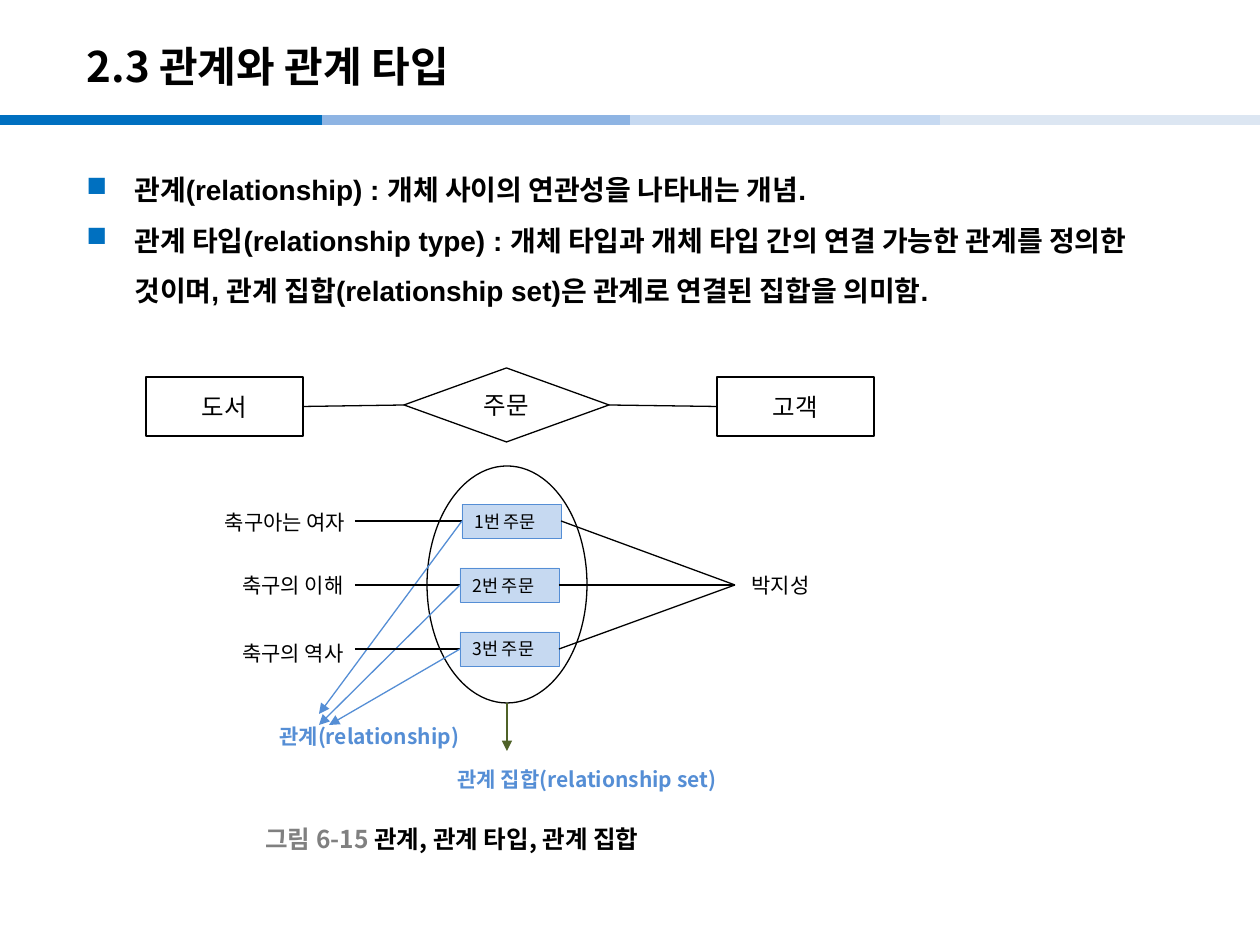
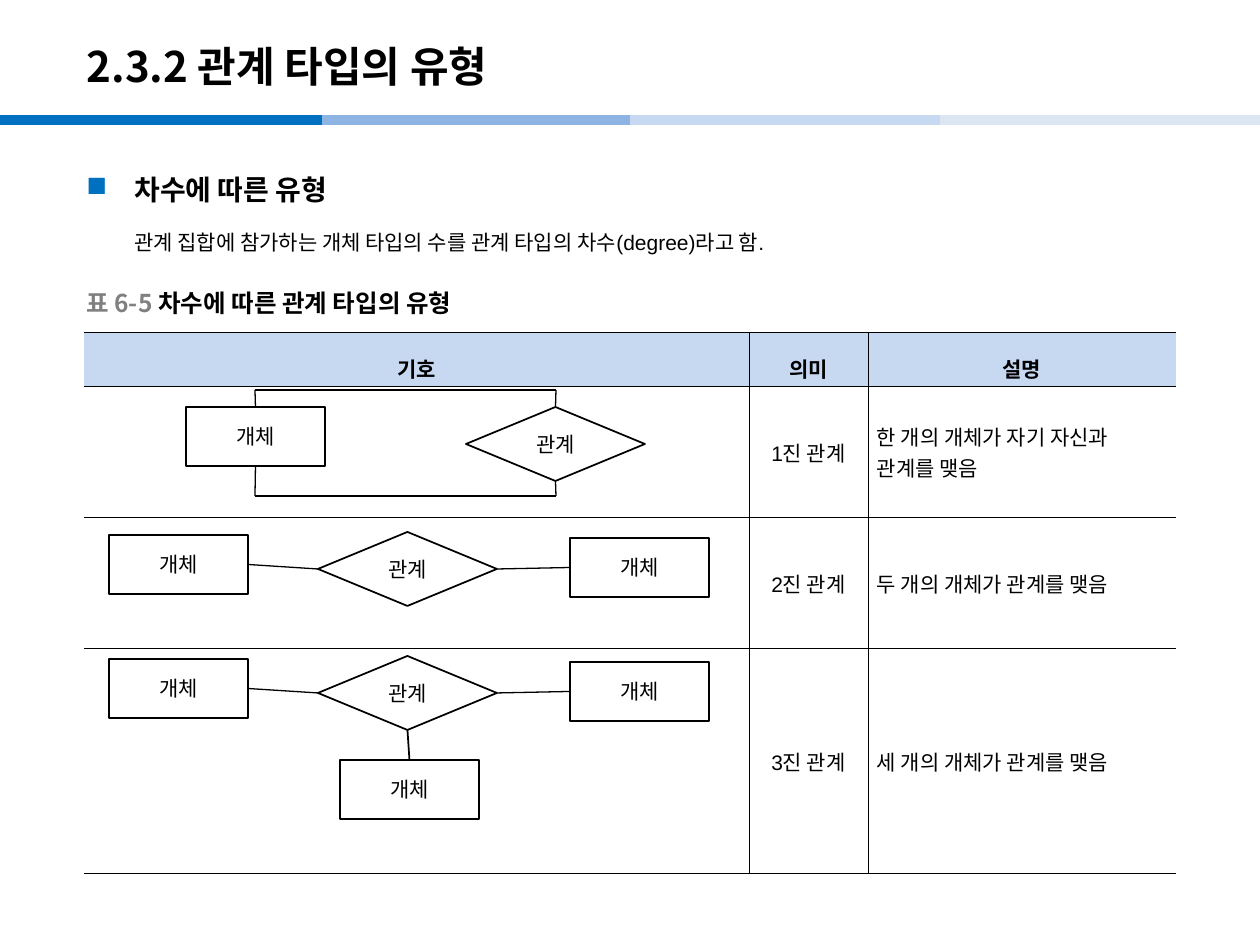
from dataclasses import dataclass

from lxml.etree import SubElement
from pptx import Presentation
from pptx.dml.color import RGBColor
from pptx.enum.shapes import MSO_CONNECTOR, MSO_SHAPE
from pptx.enum.text import MSO_ANCHOR, PP_ALIGN
from pptx.oxml.ns import qn
from pptx.util import Pt


@dataclass(frozen=True)
class Theme:
    black: str = "000000"
    white: str = "FFFFFF"
    gray: str = "808080"
    blue: str = "0070C0"
    mid: str = "558ED5"
    pale: str = "C6D9F1"
    green: str = "4F6228"
    bands: tuple = ("0070C0", "8EB4E3", "C6D9F1", "DCE6F2")
    latin: str = "Arial"
    korean: str = "Noto Sans CJK KR"
    title: int = 24
    body: int = 16
    label: int = 14
    small: int = 12
    tiny: int = 10


LOOK = Theme()
SCALE = 914400 / 126
TOP, LEFT, BOTTOM, RIGHT = range(4)


def px(count):
    return int(count * SCALE)


def tint(code):
    return RGBColor.from_string(code)


def write(frame, text, size=LOOK.small, color=LOOK.black, bold=False,
          font=LOOK.korean, align=PP_ALIGN.LEFT, gap=None, before=None,
          indent=0, bullet=None, join=False):
    para = frame.paragraphs[-1]
    if para.runs and not join:
        para = frame.add_paragraph()
    para.alignment = align
    if gap:
        para.line_spacing = gap
    if before:
        para.space_before = Pt(before)
    if indent:
        props = para._p.get_or_add_pPr()
        props.set("marL", str(px(indent)))
        props.set("indent", str(-px(indent) if bullet else 0))
        if bullet:
            hue = SubElement(props, qn("a:buClr"))
            SubElement(hue, qn("a:srgbClr"), val=LOOK.blue)
            SubElement(props, qn("a:buChar"), char=bullet)
        else:
            SubElement(props, qn("a:buNone"))
    run = para.add_run()
    run.text = text
    run.font.size = Pt(size)
    run.font.bold = bold
    run.font.color.rgb = tint(color)
    run.font.name = font
    SubElement(run._r.get_or_add_rPr(), qn("a:ea"), typeface=LOOK.korean)


def label(slide, at, text, anchor=MSO_ANCHOR.MIDDLE, **style):
    frame = slide.shapes.add_textbox(*map(px, at)).text_frame
    frame.word_wrap = True
    frame.vertical_anchor = anchor
    write(frame, text, **style)
    return frame


def shape(slide, kind, at, text=None, fill=LOOK.white, edge=LOOK.black,
          width=0.75, **style):
    item = slide.shapes.add_shape(kind, *map(px, at))
    item.shadow.inherit = False
    item.fill.solid()
    item.fill.fore_color.rgb = tint(fill)
    item.line.color.rgb = tint(edge)
    item.line.width = Pt(width)
    if text:
        frame = item.text_frame
        frame.vertical_anchor = MSO_ANCHOR.MIDDLE
        write(frame, text, **{"align": PP_ALIGN.CENTER, **style})
    return item


def link(slide, start, end, color=LOOK.black, width=0.75, arrow=False):
    ends = [pair if isinstance(pair[0], int) else (0, 0) for pair in (start, end)]
    line = slide.shapes.add_connector(
        MSO_CONNECTOR.STRAIGHT, *(px(n) for pair in ends for n in pair))
    for pair, hook in ((start, line.begin_connect), (end, line.end_connect)):
        if not isinstance(pair[0], int):
            hook(*pair)
    line.line.color.rgb = tint(color)
    line.line.width = Pt(width)
    props = line._element.spPr
    if arrow:
        SubElement(props.find(qn("a:ln")), qn("a:tailEnd"), type="triangle")
    SubElement(props, qn("a:effectLst"))


def start(deck, text):
    slide = deck.slides.add_slide(deck.slide_layouts[5])
    stops = ((0, 322), (322, 645), (630, 952), (940, 1260))
    for (left, right), color in zip(stops, LOOK.bands):
        link(slide, (left, 120), (right, 120), color, 6)
    title = slide.shapes.title
    title.left, title.top, title.width, title.height = map(px, (74, 28, 1042, 76))
    title.text_frame.vertical_anchor = MSO_ANCHOR.MIDDLE
    write(title.text_frame, text, size=LOOK.title, bold=True)
    return slide


def points(slide, height, *texts):
    style = dict(size=LOOK.body, bold=True, font=LOOK.latin, gap=1.5,
                 indent=48, bullet="■")
    frame = label(slide, (74, 150, 1111, height), texts[0],
                  MSO_ANCHOR.TOP, **style)
    for text in texts[1:]:
        write(frame, text, **style)
    return frame


def caption(slide, at, mark, text):
    frame = label(slide, at, mark, size=LOOK.label, color=LOOK.gray, bold=True)
    write(frame, text, size=LOOK.label, bold=True, join=True)


def node(slide, left, top, text="개체"):
    return shape(slide, MSO_SHAPE.RECTANGLE, (left, top, 139, 59), text, width=1)


def bond(slide, left, top):
    return shape(slide, MSO_SHAPE.FLOWCHART_DECISION, (left, top, 179, 74),
                 "관계", width=1)


def pair(slide, top):
    first = node(slide, 109, top + 3)
    hub = bond(slide, 318, top)
    last = node(slide, 570, top + 6)
    link(slide, (first, RIGHT), (hub, LEFT))
    link(slide, (hub, RIGHT), (last, LEFT))
    return hub


def loop(slide):
    first, hub = node(slide, 186, 407), bond(slide, 466, 407)
    for side, level in ((TOP, 390), (BOTTOM, 496)):
        link(slide, (first, side), (255, level))
        link(slide, (hub, side), (556, level))
        link(slide, (255, level), (556, level))


def border(cell, sides):
    props = cell._tc.get_or_add_tcPr()
    for place, side in enumerate("LRTB"):
        line = SubElement(props, qn(f"a:ln{side}"), w=str(Pt(0.28)))
        props.insert(place, line)
        if side in sides:
            fill = SubElement(line, qn("a:solidFill"))
            SubElement(fill, qn("a:srgbClr"), val=LOOK.black)
        else:
            SubElement(line, qn("a:noFill"))


def grid(slide, rows, widths, heights):
    table = slide.shapes.add_table(
        len(rows), len(widths), px(84), px(332),
        px(sum(widths)), px(sum(heights))).table
    table.first_row = table.horz_banding = False
    for part, size in zip(table.columns, widths):
        part.width = px(size)
    for part, size in zip(table.rows, heights):
        part.height = px(size)
    for r, row in enumerate(rows):
        for c, text in enumerate(row):
            cell = table.cell(r, c)
            cell.fill.solid()
            cell.fill.fore_color.rgb = tint(LOOK.white if r else LOOK.pale)
            cell.vertical_anchor = MSO_ANCHOR.MIDDLE
            cell.margin_left = cell.margin_right = px(9)
            cell.margin_top = cell.margin_bottom = px(3)
            border(cell, ("RTB", "LRTB", "LTB")[c])
            for line in text.splitlines():
                write(cell.text_frame, line, bold=r == 0, font=LOOK.latin,
                      align=PP_ALIGN.LEFT if r and c == 2 else PP_ALIGN.CENTER,
                      gap=Pt(18) if r else 1.6)


def links(deck):
    slide = start(deck, "2.3 관계와 관계 타입")
    points(slide, 180,
           "관계(relationship) : 개체 사이의 연관성을 나타내는 개념.",
           "관계 타입(relationship type) : 개체 타입과 개체 타입 간의 연결 가능한 "
           "관계를 정의한 것이며, 관계 집합(relationship set)은 관계로 연결된 집합을 의미함.")

    book, buyer = (
        shape(slide, MSO_SHAPE.RECTANGLE, (left, 377, 157, 59), text, size=LOOK.label)
        for left, text in ((146, "도서"), (717, "고객")))
    order = shape(slide, MSO_SHAPE.DIAMOND, (404, 368, 205, 74), "주문",
                  size=LOOK.label)
    link(slide, (book, RIGHT), (order, LEFT))
    link(slide, (order, RIGHT), (buyer, LEFT))

    shape(slide, MSO_SHAPE.OVAL, (427, 466, 160, 237))
    label(slide, (736, 566, 89, 38), "박지성", align=PP_ALIGN.CENTER)
    rows = (("축구아는 여자", 201, 503, 462, (319, 714)),
            ("축구의 이해", 209, 566, 460, (319, 725)),
            ("축구의 역사", 209, 634, 460, (329, 725)))
    for i, (name, left, top, side, tip) in enumerate(rows):
        label(slide, (left, top, 168, 38), name, align=PP_ALIGN.CENTER)
        item = shape(slide, MSO_SHAPE.RECTANGLE, (side, 504 + 64 * i, 99, 34),
                     f"{i + 1}번 주문", LOOK.pale, LOOK.mid, 0.25,
                     size=LOOK.tiny, align=PP_ALIGN.LEFT)
        link(slide, (355, 521 + 64 * i), (item, LEFT))
        link(slide, (item, RIGHT), (735, 585))
        link(slide, (item, LEFT), tip, LOOK.mid, arrow=True)
    link(slide, (507, 703), (507, 751), LOOK.green, arrow=True)

    label(slide, (267, 717, 219, 38), "관계(relationship)",
          color=LOOK.mid, bold=True)
    label(slide, (445, 760, 315, 38), "관계 집합(relationship set)",
          color=LOOK.mid, bold=True)
    caption(slide, (253, 819, 480, 39), "그림 6-15 ", "관계, 관계 타입, 관계 집합")


def kinds(deck):
    slide = start(deck, "2.3.2 관계 타입의 유형")
    frame = points(slide, 120, "차수에 따른 유형")
    write(frame, "관계 집합에 참가하는 개체 타입의 수를 관계 타입의 차수(degree)라고 함.",
          font=LOOK.latin, gap=1.5, before=6, indent=48)
    caption(slide, (74, 283, 480, 39), "표 6-5 ", "차수에 따른 관계 타입의 유형")
    rows = (("기호", "의미", "설명"),
            ("", "1진 관계", "한 개의 개체가 자기 자신과\n관계를 맺음"),
            ("", "2진 관계", "두 개의 개체가 관계를 맺음"),
            ("", "3진 관계", "세 개의 개체가 관계를 맺음"))
    grid(slide, rows, (665, 119, 308), (54, 131, 131, 225))

    loop(slide)
    pair(slide, 532)
    hub = pair(slide, 656)
    third = node(slide, 340, 760)
    link(slide, (hub, BOTTOM), (third, TOP), width=1)


def main():
    deck = Presentation()
    deck.slide_width, deck.slide_height = px(1260), px(945)
    links(deck)
    kinds(deck)
    deck.save("out.pptx")


if __name__ == "__main__":
    main()
